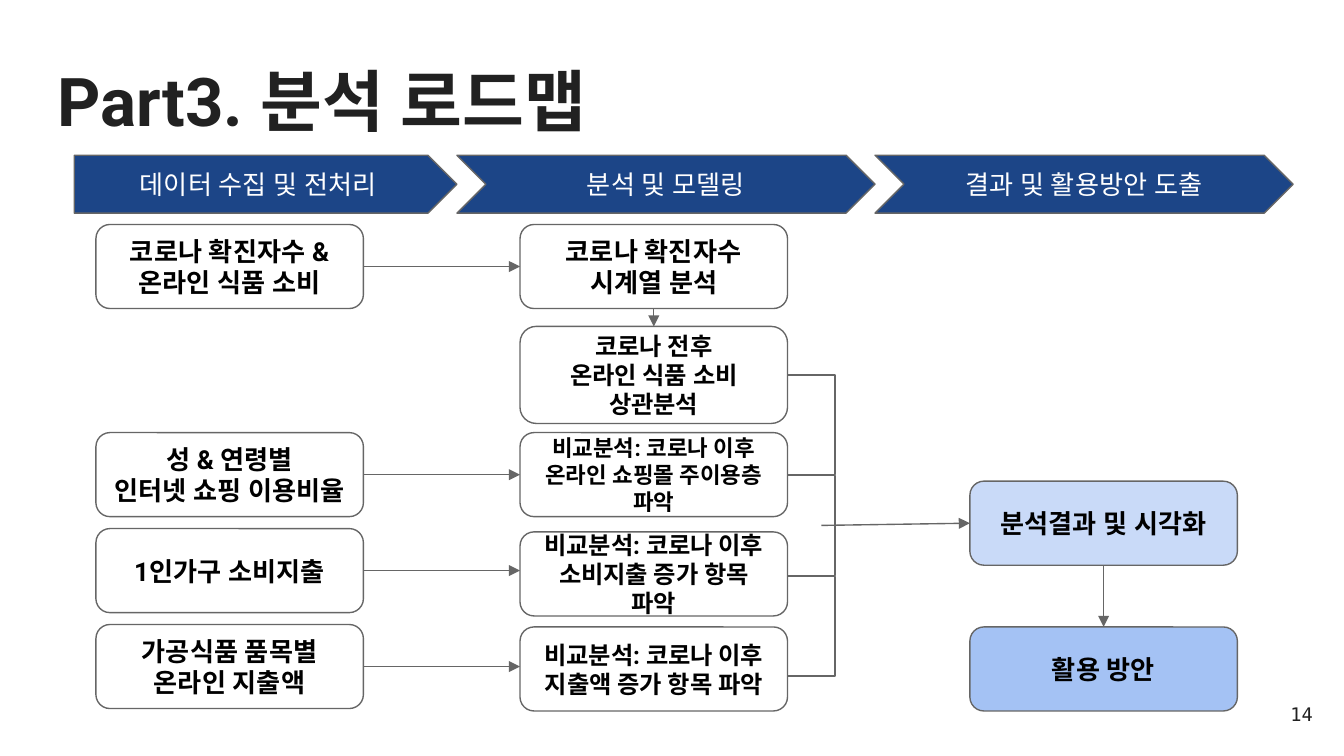
from dataclasses import dataclass

from lxml import etree
from pptx import Presentation
from pptx.dml.color import RGBColor
from pptx.enum.shapes import MSO_CONNECTOR, MSO_SHAPE
from pptx.enum.text import MSO_ANCHOR, PP_ALIGN
from pptx.oxml.ns import qn
from pptx.util import Pt

PENTAGON, CHEVRON, ROUNDED = MSO_SHAPE.PENTAGON, MSO_SHAPE.CHEVRON, MSO_SHAPE.ROUNDED_RECTANGLE
STRAIGHT, ELBOW = MSO_CONNECTOR.STRAIGHT, MSO_CONNECTOR.ELBOW
LEFT, CENTER, RIGHT = PP_ALIGN.LEFT, PP_ALIGN.CENTER, PP_ALIGN.RIGHT
TOP, MIDDLE = MSO_ANCHOR.TOP, MSO_ANCHOR.MIDDLE


@dataclass(frozen=True)
class Theme:
    font: str = "Roboto"
    number_font: str = "DejaVu Sans Mono"
    ink: str = "212121"
    black: str = "000000"
    white: str = "FFFFFF"
    navy: str = "1C4587"
    pale_blue: str = "C9DAF8"
    mid_blue: str = "A4C2F4"
    outline: str = "666666"
    title: int = 36
    body: int = 14
    snug: int = 13
    tight: int = 12
    number: int = 10
    line: float = 0.75


theme = Theme()
prs = Presentation()
prs.slide_width, prs.slide_height = Pt(720), Pt(405)
slide = prs.slides.add_slide(prs.slide_layouts[6])


def add_text(bounds, text, size, color, bold=False, align=CENTER, anchor=MIDDLE,
             font=theme.font, preset=None, fill=None):
    bounds = [Pt(v) for v in bounds]
    if preset is None:
        part = slide.shapes.add_textbox(*bounds)
    else:
        part = slide.shapes.add_shape(preset, *bounds)
        part.shadow.inherit = False
        part.fill.solid()
        part.fill.fore_color.rgb = RGBColor.from_string(fill)
        part.line.color.rgb = RGBColor.from_string(theme.outline)
        part.line.width = Pt(theme.line)
    frame = part.text_frame
    frame.word_wrap = True
    frame.vertical_anchor = anchor
    frame.margin_left = frame.margin_right = frame.margin_top = frame.margin_bottom = Pt(7.2)
    frame.text = text
    for paragraph in frame.paragraphs:
        paragraph.alignment = align
        for run in paragraph.runs:
            run.font.name = font
            run.font.size = Pt(size)
            run.font.bold = bold
            run.font.color.rgb = RGBColor.from_string(color)
            etree.SubElement(run.font._element, qn("a:ea"), typeface=font)


def add_link(x1, y1, x2, y2, kind=STRAIGHT, bend=None):
    link = slide.shapes.add_connector(kind, Pt(x1), Pt(y1), Pt(x2), Pt(y2))
    link.line.color.rgb = RGBColor.from_string(theme.outline)
    link.line.width = Pt(theme.line)
    properties = link._element.spPr
    if bend is None:
        etree.SubElement(properties.find(qn("a:ln")), qn("a:tailEnd"), type="triangle")
    else:
        guides = properties.find(qn("a:prstGeom")).get_or_add_avLst()
        etree.SubElement(guides, qn("a:gd"), name="adj1", fmla=f"val {round(bend * 100000)}")
    etree.SubElement(properties, qn("a:effectLst"))


add_text((23.8, 24.5, 672.5, 59), "Part3. 분석 로드맵", theme.title, theme.ink,
         bold=True, align=LEFT, anchor=TOP)

stages = [
    (PENTAGON, 39.8, 205, "데이터 수집 및 전처리"),
    (CHEVRON, 244.8, 224, "분석 및 모델링"),
    (CHEVRON, 468.8, 224, "결과 및 활용방안 도출"),
]
for preset, left, width, label in stages:
    add_text((left, 83.2, width, 31), label, theme.body, theme.white,
             preset=preset, fill=theme.navy)

BOX_W, BOX_H = 143.3, 45
DATA_X, ANALYSIS_X, RESULT_X = 51.4, 278.6, 519.6
data_right, analysis_right = DATA_X + BOX_W, ANALYSIS_X + BOX_W

first_top, correlation_top, last_top = 120.3, 174.9, 335.9
data_tops = [first_top, 231.8, 283.2, 334.6]
data_labels = [
    "코로나 확진자수 &\n온라인 식품 소비",
    "성 & 연령별\n인터넷 쇼핑 이용비율",
    "1인가구 소비지출",
    "가공식품 품목별\n온라인 지출액",
]
for top, label in zip(data_tops, data_labels):
    add_text((DATA_X, top, BOX_W, BOX_H), label, theme.body, theme.black,
             bold=True, preset=ROUNDED, fill=theme.white)
    middle = top + BOX_H / 2
    add_link(data_right, middle, ANALYSIS_X, middle)

analyses = [
    (first_top, BOX_H, theme.body, "코로나 확진자수\n시계열 분석"),
    (correlation_top, 52, theme.snug, "코로나 전후\n온라인 식품 소비 상관분석"),
    (231.8, BOX_H, theme.tight, "비교분석: 코로나 이후\n온라인 쇼핑몰 주이용층 파악"),
    (285, BOX_H, theme.snug, "비교분석: 코로나 이후\n소비지출 증가 항목 파악"),
    (last_top, BOX_H, theme.snug, "비교분석: 코로나 이후\n지출액 증가 항목 파악"),
]
for top, height, size, label in analyses:
    add_text((ANALYSIS_X, top, BOX_W, height), label, size, theme.black,
             bold=True, preset=ROUNDED, fill=theme.white)

analysis_middle = ANALYSIS_X + BOX_W / 2
add_link(analysis_middle, first_top + BOX_H, analysis_middle, correlation_top)

BRACKET_DEPTH, BRACKET_SPAN, SLIVER = 22.4, 53.4, 0.05
for bracket in range(3):
    top = 200.9 + bracket * 54
    add_link(analysis_right, top, analysis_right + SLIVER, top + BRACKET_SPAN,
             ELBOW, BRACKET_DEPTH / SLIVER)

results = [
    (257.8, theme.pale_blue, "분석결과 및 시각화"),
    (last_top, theme.mid_blue, "활용 방안"),
]
for top, fill, label in results:
    add_text((RESULT_X, top, BOX_W, BOX_H), label, theme.body, theme.black,
             bold=True, preset=ROUNDED, fill=fill)

result_top = results[0][0]
result_middle = RESULT_X + BOX_W / 2
add_link(440, 281.5, RESULT_X, result_top + BOX_H / 2)
add_link(result_middle, result_top + BOX_H, result_middle, last_top)

add_text((667.2, 367.2, 43.2, 31), "14", theme.number, theme.ink,
         align=RIGHT, font=theme.number_font)

prs.save("out.pptx")
